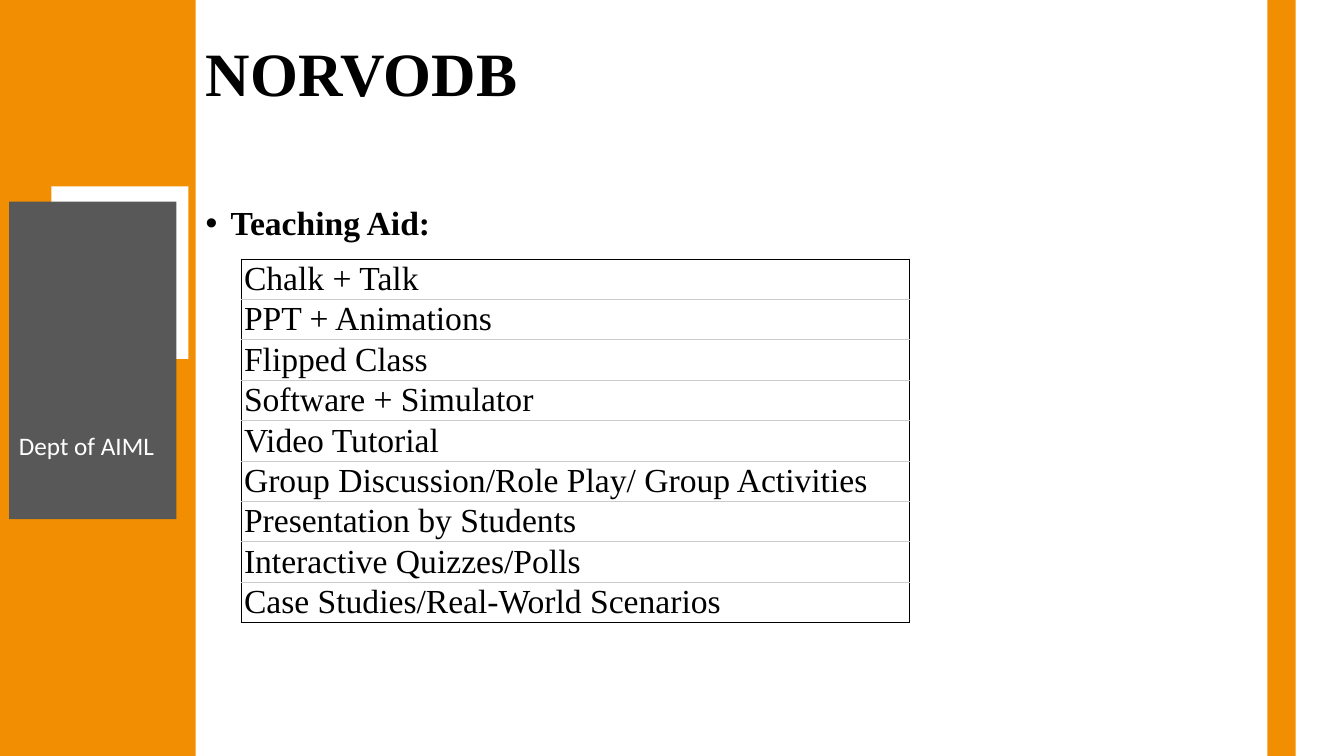
from pptx import Presentation
from pptx.dml.color import RGBColor
from pptx.enum import shapes, text
from pptx.oxml import xmlchemy
from pptx.util import Inches, Pt

TITLE = "NORVODB"
HEADING = "Teaching Aid:"
DEPARTMENT = "Dept of AIML"
TEACHING_AIDS = [
    "Chalk + Talk",
    "PPT + Animations",
    "Flipped Class",
    "Software + Simulator",
    "Video Tutorial",
    "Group Discussion/Role Play/ Group Activities",
    "Presentation by Students",
    "Interactive Quizzes/Polls",
    "Case Studies/Real-World Scenarios",
]

ORANGE = RGBColor(0xF2, 0x8E, 0x01)
GREY = RGBColor(0x58, 0x58, 0x58)
WHITE = RGBColor(0xFF, 0xFF, 0xFF)
BLACK = RGBColor(0, 0, 0)
RULE = RGBColor(0xCC, 0xCC, 0xCC)

PANELS = [
    (-0.03, 0, 1.97, 7.5, ORANGE),
    (0.51, 1.85, 1.36, 1.71, WHITE),
    (0.09, 2, 1.66, 3.15, GREY),
    (12.57, 0, 0.28, 7.5, ORANGE),
]
TITLE_BOX = (1.94, 0.4, 10.47, 1.45)
HEADING_BOX = (1.94, 2, 10.47, 0.5)
DEPARTMENT_BOX = (0.09, 4.22, 1.66, 0.4)
TABLE_LEFT, TABLE_TOP, TABLE_WIDTH, ROW_HEIGHT = 2.39, 2.57, 6.63, 0.4

SERIF = "Times New Roman"
TITLE_FONT = {"name": SERIF, "size": Pt(44), "bold": True}
HEADING_FONT = {"name": SERIF, "size": Pt(24), "bold": True}
CELL_FONT = {"name": SERIF, "size": Pt(24), "bold": False}
DEPARTMENT_FONT = {"name": "Calibri", "size": Pt(18), "bold": False}


def inches(values):
    return [Inches(value) for value in values]


def write(frame, words, font, color):
    frame.word_wrap = True
    para = frame.paragraphs[0]
    para.alignment = text.PP_ALIGN.LEFT
    span = para.add_run()
    span.text = words
    for name, value in font.items():
        setattr(span.font, name, value)
    span.font.color.rgb = color
    return para


def add_child(parent, tag, **attributes):
    child = parent.makeelement(xmlchemy.qn(tag), attributes)
    parent.append(child)
    return child


def add_border(cell, side, color):
    line = add_child(cell._tc.get_or_add_tcPr(), f"a:ln{side}", w=str(Pt(0.6)))
    add_child(add_child(line, "a:solidFill"), "a:srgbClr", val=str(color))


def add_panels(page):
    for *place, color in PANELS:
        panel = page.shapes.add_shape(shapes.MSO_SHAPE.RECTANGLE, *inches(place))
        panel.shadow.inherit = False
        panel.fill.solid()
        panel.fill.fore_color.rgb = color
        panel.line.fill.background()


def add_title(page):
    title = page.shapes.title
    title.left, title.top, title.width, title.height = inches(TITLE_BOX)
    title.text_frame.vertical_anchor = text.MSO_ANCHOR.TOP
    title.text_frame.margin_top = Inches(0.03)
    write(title.text_frame, TITLE, TITLE_FONT, BLACK).line_spacing = 0.9


def add_heading(page):
    box = page.shapes.add_textbox(*inches(HEADING_BOX))
    para = write(box.text_frame, HEADING, HEADING_FONT, BLACK)
    para.line_spacing = 0.9
    settings = para._p.get_or_add_pPr()
    settings.set("marL", str(Inches(0.25)))
    settings.set("indent", str(Inches(-0.25)))
    add_child(settings, "a:buFont", typeface="Arial")
    add_child(settings, "a:buChar", char="•")


def add_aids_table(page):
    count = len(TEACHING_AIDS)
    place = inches((TABLE_LEFT, TABLE_TOP, TABLE_WIDTH, ROW_HEIGHT * count))
    table = page.shapes.add_table(count, 1, *place).table
    table.first_row = table.horz_banding = False
    for index, aid in enumerate(TEACHING_AIDS):
        table.rows[index].height = Inches(ROW_HEIGHT)
        cell = table.cell(index, 0)
        cell.margin_left = cell.margin_right = Inches(0.03)
        cell.margin_top = cell.margin_bottom = 0
        cell.vertical_anchor = text.MSO_ANCHOR.MIDDLE
        write(cell.text_frame, aid, CELL_FONT, BLACK)
        borders = {
            "L": BLACK,
            "R": BLACK,
            "T": BLACK if index == 0 else RULE,
            "B": BLACK if index == count - 1 else RULE,
        }
        for side, color in borders.items():
            add_border(cell, side, color)
        cell.fill.background()


def main():
    """Build the teaching aid slide and save it."""
    deck = Presentation()
    deck.slide_width, deck.slide_height = inches((13.33, 7.5))
    page = deck.slides.add_slide(deck.slide_layouts[5])
    add_title(page)
    add_heading(page)
    add_panels(page)
    department = page.shapes.add_textbox(*inches(DEPARTMENT_BOX))
    write(department.text_frame, DEPARTMENT, DEPARTMENT_FONT, WHITE)
    add_aids_table(page)
    deck.save("out.pptx")


if __name__ == "__main__":
    main()
